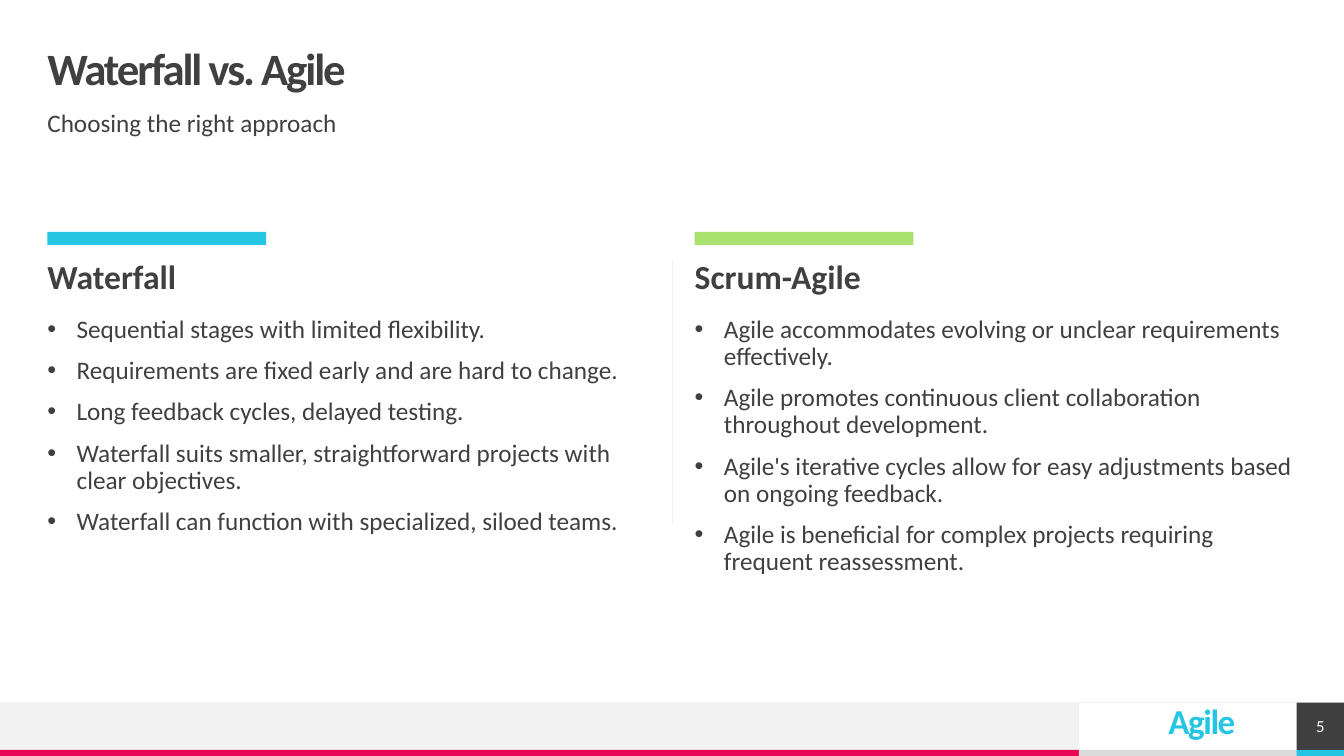
from lxml import etree
from pptx import Presentation
from pptx.dml.color import RGBColor
from pptx.enum.shapes import MSO_CONNECTOR, MSO_SHAPE
from pptx.enum.text import MSO_ANCHOR, MSO_AUTO_SIZE, PP_ALIGN
from pptx.oxml.ns import qn
from pptx.util import Inches, Pt

RECTANGLE, STRAIGHT = MSO_SHAPE.RECTANGLE, MSO_CONNECTOR.STRAIGHT
TOP, MIDDLE = MSO_ANCHOR.TOP, MSO_ANCHOR.MIDDLE
LEFT, CENTER, RIGHT = PP_ALIGN.LEFT, PP_ALIGN.CENTER, PP_ALIGN.RIGHT
GROW = MSO_AUTO_SIZE.SHAPE_TO_FIT_TEXT

TITLE = "Waterfall vs. Agile"
SUBTITLE = "Choosing the right approach"
APPROACHES = [
    ("Waterfall", "cyan", [
        "Sequential stages with limited flexibility.",
        "Requirements are fixed early and are hard to change.",
        "Long feedback cycles, delayed testing.",
        "Waterfall suits smaller, straightforward projects with clear objectives.",
        "Waterfall can function with specialized, siloed teams.",
    ]),
    ("Scrum-Agile", "green", [
        "Agile accommodates evolving or unclear requirements effectively.",
        "Agile promotes continuous client collaboration throughout development.",
        "Agile's iterative cycles allow for easy adjustments based on ongoing feedback.",
        "Agile is beneficial for complex projects requiring frequent reassessment.",
    ]),
]
FOOTER_LABEL = "Agile"
PAGE_NUMBER = "5"

THEME = {
    "font": "Calibri",
    "colors": {"ink": "404040", "white": "FFFFFF", "cyan": "25C6E3", "green": "A9E26F",
               "magenta": "E80554", "pale": "F2F2F2", "gray": "DADADA"},
    "sizes": {"title": 32, "heading": 24, "body": 18, "label": 25, "number": 12},
}

SLIDE_W, SLIDE_H = 13.33, 7.5
MARGIN = 0.47
CONTENT_W = 12.4
COLUMN_W, COLUMN_STEP = 5.98, 6.42
ACCENT_W, ACCENT_H = 2.17, 0.13
HEADING_Y = 2.58
FOOTER_Y, FOOTER_H, STRIPE_H = 6.97, 0.47, 0.06
STRIPE_Y = FOOTER_Y + FOOTER_H
LABEL_X, NUMBER_X = 10.7, 12.86
INDENT = 0.29


def color(name):
    return RGBColor.from_string(THEME["colors"][name])


def add_block(slide, box, fill):
    block = slide.shapes.add_shape(RECTANGLE, *map(Inches, box))
    block.shadow.inherit = False
    block.fill.solid()
    block.fill.fore_color.rgb = color(fill)
    block.line.fill.background()
    return block


def add_rule(slide, x1, y1, x2, y2):
    rule = slide.shapes.add_connector(STRAIGHT, *map(Inches, (x1, y1, x2, y2)))
    rule.line.color.rgb = color("pale")
    rule.line.width = Pt(0.5)
    etree.SubElement(rule._element.spPr, qn("a:effectLst"))


def write(shape, lines, size, ink="ink", bold=False, tracking=0, bullet=False,
          anchor=TOP, insets=(0, 0, 0, 0), **paragraph_format):
    """Fill a shape with one paragraph per line; tracking is in points."""
    frame = shape.text_frame
    left, top, right, bottom = map(Inches, insets)
    frame_format = {"word_wrap": True, "vertical_anchor": anchor, "margin_left": left,
                    "margin_top": top, "margin_right": right, "margin_bottom": bottom}
    for name, value in frame_format.items():
        setattr(frame, name, value)
    layout = {"alignment": LEFT, "line_spacing": 0.9, "space_before": Pt(10)}
    layout.update(paragraph_format)
    font_format = {"name": THEME["font"], "size": Pt(THEME["sizes"][size]), "bold": bold}
    for index, line in enumerate(lines):
        paragraph = frame.add_paragraph() if index else frame.paragraphs[0]
        for name, value in layout.items():
            setattr(paragraph, name, value)
        run = paragraph.add_run()
        run.text = line
        for name, value in font_format.items():
            setattr(run.font, name, value)
        run.font.color.rgb = color(ink)
        if tracking:
            run._r.get_or_add_rPr().set("spc", str(int(tracking * 100)))
        if bullet:
            properties = paragraph._p.get_or_add_pPr()
            properties.set("marL", str(Inches(INDENT)))
            properties.set("indent", str(-Inches(INDENT)))
            etree.SubElement(properties, qn("a:buFont")).set("typeface", "Arial")
            etree.SubElement(properties, qn("a:buChar")).set("char", "•")


def add_text(slide, box, lines, size, **text_format):
    text_box = slide.shapes.add_textbox(*map(Inches, box))
    write(text_box, lines, size, **text_format)
    return text_box


def add_footer(slide):
    number_w = SLIDE_W - NUMBER_X
    add_block(slide, (0, FOOTER_Y, LABEL_X, FOOTER_H), "pale")
    stripes = [(0, LABEL_X, "magenta"), (LABEL_X, ACCENT_W, "gray"),
               (NUMBER_X, number_w, "cyan")]
    for x, width, fill in stripes:
        add_block(slide, (x, STRIPE_Y, width, STRIPE_H), fill)
    add_rule(slide, SLIDE_W, FOOTER_Y, 0, FOOTER_Y)
    number = add_block(slide, (NUMBER_X, FOOTER_Y, number_w, FOOTER_H), "ink")
    write(number, [PAGE_NUMBER], "number", ink="white", anchor=MIDDLE,
          alignment=CENTER, line_spacing=1.0, space_before=Pt(0))
    label = add_text(slide, (11.2, 7.07, 1.15, 0.32), [FOOTER_LABEL], "label", ink="cyan",
                     bold=True, tracking=-1, anchor=MIDDLE, insets=(0.1, 0.12, 0.1, 0),
                     alignment=RIGHT, line_spacing=Pt(10), space_before=Pt(0))
    label.text_frame.auto_size = GROW


def add_approach(slide, x, heading, accent, points):
    add_block(slide, (x, 2.3, ACCENT_W, ACCENT_H), accent)
    add_text(slide, (x, HEADING_Y, COLUMN_W, 0.39), [heading], "heading", bold=True)
    add_text(slide, (x, 3.14, COLUMN_W, 3.69), points, "body", bullet=True)


def main():
    deck = Presentation()
    deck.slide_width, deck.slide_height = Inches(SLIDE_W), Inches(SLIDE_H)
    slide = deck.slides.add_slide(deck.slide_layouts[6])
    add_footer(slide)
    add_text(slide, (MARGIN, 0.47, CONTENT_W, 0.47), [TITLE], "title", bold=True,
             tracking=-1.5, anchor=MIDDLE, space_before=Pt(0))
    add_text(slide, (MARGIN, 1.1, CONTENT_W, 0.39), [SUBTITLE], "body")
    for column, approach in enumerate(APPROACHES):
        add_approach(slide, MARGIN + column * COLUMN_STEP, *approach)
    add_rule(slide, 6.67, HEADING_Y, 6.67, 5.22)
    deck.save("out.pptx")


if __name__ == "__main__":
    main()
